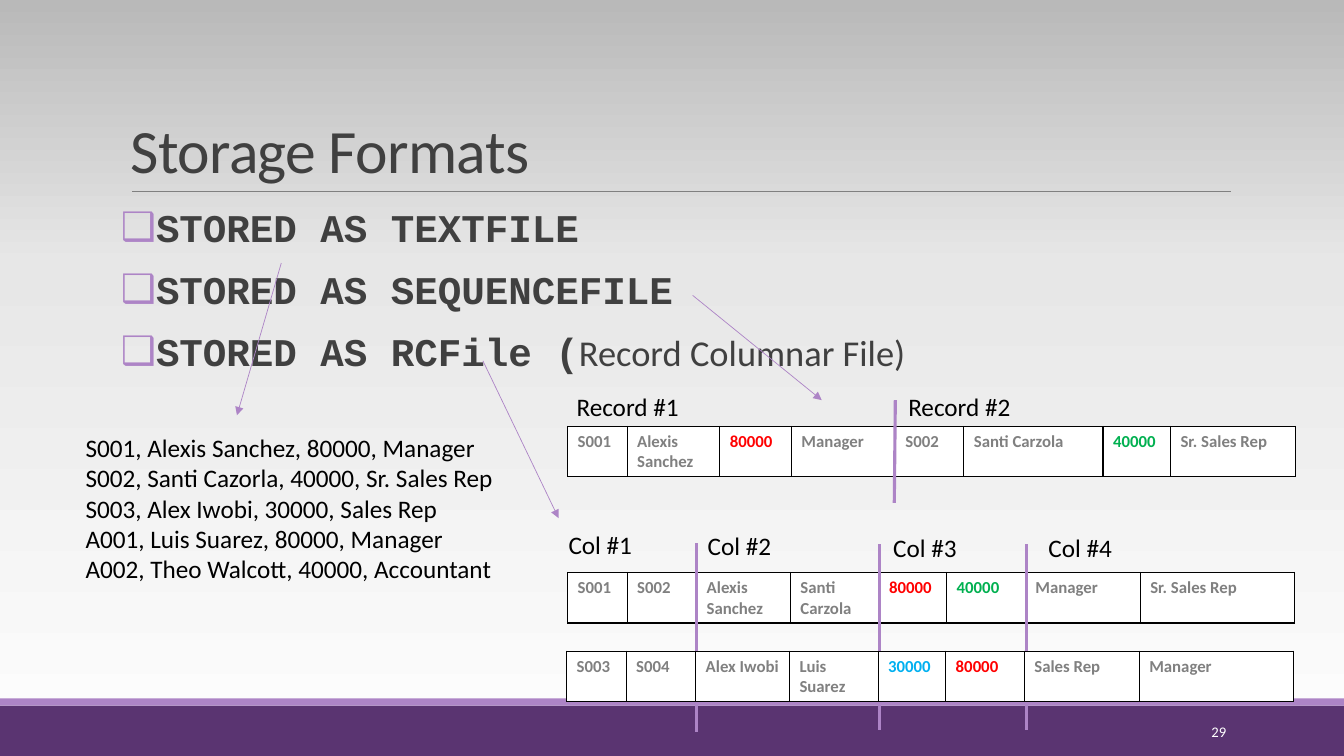
from lxml import etree
from pptx import Presentation
from pptx.dml.color import RGBColor
from pptx.enum import shapes, text
from pptx.oxml import parse_xml
from pptx.oxml.ns import nsdecls, qn
from pptx.util import Inches, Pt

# Content
SANS, MONO = "Calibri", "Courier New"
DARK, GRAY, BLACK, WHITE = "404040", "808080", "000000", "FFFFFF"
LILAC, PURPLE = "AD84C6", "5A3471"
RED, GREEN, CYAN = "FF0000", "00B050", "00B0F0"
BACKDROP = [(0, "FEFEFE"), (65, "E7E7E7"), (100, "B9B9B9")]

FORMATS = [
    [("STORED AS TEXTFILE", MONO, 28, True)],
    [("STORED AS SEQUENCEFILE", MONO, 28, True)],
    [("STORED AS RCFile (", MONO, 28, True), ("Record Columnar File)", SANS, 26, False)],
]
TEXT_ROWS = [
    "S001, Alexis Sanchez, 80000, Manager",
    "S002, Santi Cazorla, 40000, Sr. Sales Rep",
    "S003, Alex Iwobi, 30000, Sales Rep",
    "A001, Luis Suarez, 80000, Manager",
    "A002, Theo Walcott, 40000, Accountant",
]
RECORD_COLS = [0.59, 0.92, 0.71, 1.03, 0.68, 1.38, 0.67, 1.24]
COLUMN_COLS = [0.59, 0.69, 0.93, 0.88, 0.67, 0.78, 1.14, 1.53]
RECORDS = ["S001", "Alexis Sanchez", ("80000", RED), "Manager",
           "S002", "Santi Carzola", ("40000", GREEN), "Sr. Sales Rep"]
GROUP_1 = ["S001", "S002", "Alexis Sanchez", "Santi Carzola",
           ("80000", RED), ("40000", GREEN), "Manager", "Sr. Sales Rep"]
GROUP_2 = ["S003", "S004", "Alex Iwobi", "Luis Suarez",
           ("30000", CYAN), ("80000", RED), "Sales Rep", "Manager"]
LABELS = [  # text, left, top, width
    ("Record #1", 5.62, 3.83, 1.29), ("Record #2", 8.91, 3.83, 1.29),
    ("Col #1", 5.54, 5.2, 0.92), ("Col #2", 6.92, 5.21, 0.92),
    ("Col #3", 8.76, 5.23, 0.92), ("Col #4", 10.3, 5.23, 0.92),
]
DIVIDERS = [(8.88, 3.97, 8.87, 4.99), (6.91, 5.39, 6.91, 7.26),
            (8.72, 5.4, 8.72, 7.24), (10.18, 5.4, 10.18, 7.24)]
ARROWS = [(2.79, 2.61, 2.35, 4.12), (6.87, 2.93, 8.15, 3.97), (4.79, 3.58, 5.54, 5.14)]

prs = Presentation()
prs.slide_width, prs.slide_height = Inches(13.33), Inches(7.5)
s = prs.slides.add_slide(prs.slide_layouts[6])


# Helpers
def rgb(value):
    return RGBColor.from_string(value)


def add_run(p, words, font, size, color, bold=False):
    r = p.add_run()
    r.text = words
    r.font.name, r.font.size, r.font.bold = font, Pt(size), bold
    r.font.color.rgb = rgb(color)
    return r


def add_box(left, top, width, height, anchor=text.MSO_ANCHOR.TOP, wrap=True):
    sp = s.shapes.add_textbox(Inches(left), Inches(top), Inches(width), Inches(height))
    tf = sp.text_frame
    tf.word_wrap, tf.vertical_anchor = wrap, anchor
    return tf


def add_paragraph(tf, index):
    return tf.add_paragraph() if index else tf.paragraphs[0]


def add_band(top, height, color):
    sp = s.shapes.add_shape(shapes.MSO_SHAPE.RECTANGLE, 0, Inches(top),
                            prs.slide_width, Inches(height))
    sp.shadow.inherit = False
    sp.fill.solid()
    sp.fill.fore_color.rgb = rgb(color)
    sp.line.fill.background()


def add_line(x1, y1, x2, y2, color, width, arrow=False):
    line = s.shapes.add_connector(shapes.MSO_CONNECTOR.STRAIGHT, Inches(x1), Inches(y1),
                                  Inches(x2), Inches(y2))
    line.line.color.rgb, line.line.width = rgb(color), Pt(width)
    if arrow:
        etree.SubElement(line.line._get_or_add_ln(), qn("a:tailEnd"), type="triangle")
    etree.SubElement(line.element.spPr, qn("a:effectLst"))


def add_grid(left, top, widths, values):
    grid = s.shapes.add_table(1, len(widths), Inches(left), Inches(top),
                              Inches(sum(widths)), Inches(0.5)).table
    grid.first_row = grid.horz_banding = False
    for i, (width, value) in enumerate(zip(widths, values)):
        grid.columns[i].width = Inches(width)
        words, color = value if isinstance(value, tuple) else (value, GRAY)
        cell = grid.cell(0, i)
        add_run(cell.text_frame.paragraphs[0], words, SANS, 12, color, True)
        tc_pr = cell._tc.get_or_add_tcPr()
        for side in "LRTB":
            tc_pr.append(parse_xml(
                f'<a:ln{side} {nsdecls("a")} w="12700"><a:solidFill>'
                f'<a:srgbClr val="{BLACK}"/></a:solidFill></a:ln{side}>'))
        cell.fill.solid()
        cell.fill.fore_color.rgb = rgb(WHITE)


# Background, footer bands and title rule
s.background.fill.solid()
bg_pr = s.element.find(".//" + qn("p:bgPr"))
stops = "".join(f'<a:gs pos="{pos * 1000}"><a:srgbClr val="{color}"/></a:gs>'
                for pos, color in BACKDROP)
bg_pr.replace(bg_pr[0], parse_xml(
    f'<a:gradFill {nsdecls("a")} rotWithShape="1"><a:gsLst>{stops}</a:gsLst>'
    f'<a:lin ang="{270 * 60000}" scaled="0"/></a:gradFill>'))
add_band(7, 0.5, PURPLE)
add_band(6.93, 0.07, LILAC)
add_line(1.31, 1.9, 12.21, 1.9, GRAY, 0.5)

# Title
p = add_box(1.2, 0.31, 11, 1.59, text.MSO_ANCHOR.BOTTOM).paragraphs[0]
p.line_spacing = 0.85
r = add_run(p, "Storage Formats", SANS, 44, DARK)
r.font._element.set("spc", "-50")

# Storage format bullets
tf = add_box(1.2, 2.02, 11, 4.4)
tf.margin_left = tf.margin_right = 0
for i, runs in enumerate(FORMATS):
    p = add_paragraph(tf, i)
    p_pr = p._p.get_or_add_pPr()
    p_pr.set("marL", str(Inches(0.1)))
    p_pr.set("indent", str(-Inches(0.1)))
    bullet_color = etree.SubElement(p_pr, qn("a:buClr"))
    etree.SubElement(bullet_color, qn("a:srgbClr"), val=LILAC)
    etree.SubElement(p_pr, qn("a:buFont"), typeface=SANS)
    etree.SubElement(p_pr, qn("a:buChar"), char="❑")
    p.line_spacing, p.space_after = 0.9, Pt(2)
    p.space_before = Pt(12 if i else 0)
    for words, font, size, bold in runs:
        add_run(p, words, font, size, DARK, bold)

# Slide number
p = add_box(10.83, 7.06, 1.43, 0.4, text.MSO_ANCHOR.MIDDLE).paragraphs[0]
p.alignment = text.PP_ALIGN.RIGHT
add_run(p, "29", SANS, 10.5, WHITE)

# Record and column layouts; the last grid covers the dividers
add_grid(5.63, 4.23, RECORD_COLS, RECORDS)
add_grid(5.63, 5.68, COLUMN_COLS, GROUP_1)
for ends in DIVIDERS:
    add_line(*ends, LILAC, 2.25)
for words, left, top, width in LABELS:
    tf = add_box(left, top, width, 0.4, wrap=False)
    tf.auto_size = text.MSO_AUTO_SIZE.SHAPE_TO_FIT_TEXT
    add_run(tf.paragraphs[0], words, SANS, 18, BLACK)

# Text file rows
tf = add_box(0.75, 4.24, 4.24, 1.62)
tf.auto_size = text.MSO_AUTO_SIZE.SHAPE_TO_FIT_TEXT
for i, words in enumerate(TEXT_ROWS):
    add_run(add_paragraph(tf, i), words, SANS, 18, BLACK)

# Arrows from each format to its layout
for ends in ARROWS:
    add_line(*ends, LILAC, 0.5, arrow=True)
add_grid(5.62, 6.46, COLUMN_COLS, GROUP_2)

prs.save("out.pptx")
